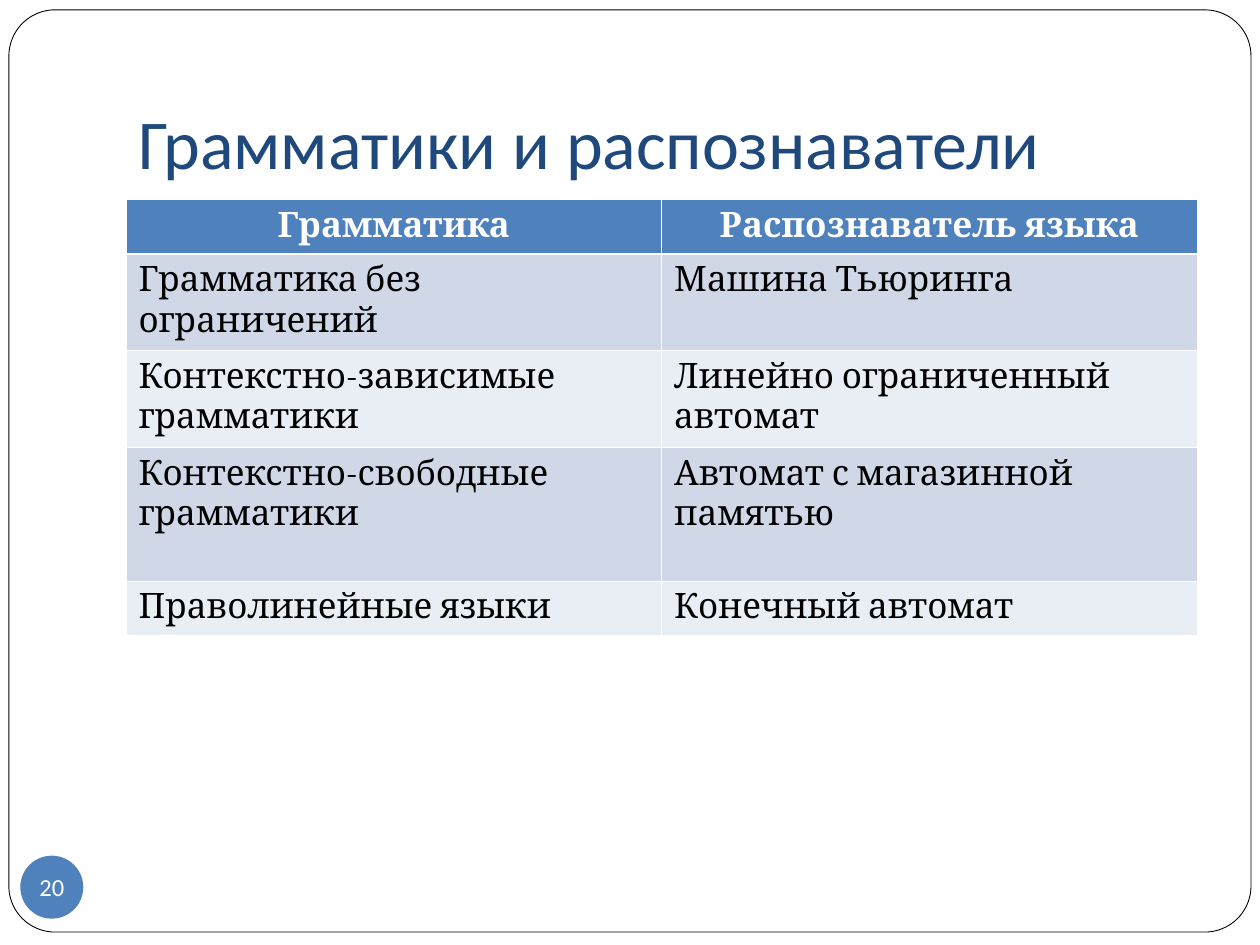
"""Builds a slide that pairs grammar classes with their language recognisers."""
import pptx
import pptx.dml.color
import pptx.enum.shapes
import pptx.enum.text
import pptx.oxml
import pptx.oxml.ns
import pptx.util

Cm = pptx.util.Cm
Pt = pptx.util.Pt
RGBColor = pptx.dml.color.RGBColor
Shape = pptx.enum.shapes.MSO_SHAPE
Align = pptx.enum.text.PP_ALIGN
Anchor = pptx.enum.text.MSO_ANCHOR

WHITE = RGBColor(0xFF, 0xFF, 0xFF)
BLACK = RGBColor(0x00, 0x00, 0x00)
NAVY = RGBColor(0x1F, 0x49, 0x7D)
BLUE = RGBColor(0x4F, 0x81, 0xBD)
BAND_DARK = RGBColor(0xD0, 0xD8, 0xE8)
BAND_LIGHT = RGBColor(0xE9, 0xED, 0xF4)

ROWS = [
    ("Грамматика", "Распознаватель языка"),
    ("Грамматика без ограничений", "Машина Тьюринга"),
    ("Контекстно-зависимые грамматики", "Линейно ограниченный автомат"),
    ("Контекстно-свободные грамматики", "Автомат с магазинной памятью"),
    ("Праволинейные языки", "Конечный автомат"),
]
ROW_HEIGHTS = [1.07, 1.88, 1.88, 2.69, 1.07]


class SlideBuilder:
    heading_font = "Calibri"
    body_font = "Cambria"
    thin_border = 0.45
    thick_border = 1.47

    def __init__(self, slide):
        self.slide = slide

    def set_text(self, text_frame, text, font, size, color, align=Align.LEFT, bold=False):
        text_frame.text = text
        paragraph = text_frame.paragraphs[0]
        paragraph.alignment = align
        run_font = paragraph.runs[0].font
        run_font.name = font
        run_font.size = Pt(size)
        run_font.bold = bold
        run_font.color.rgb = color

    def shape(self, kind, left, top, width, height, fill):
        shape = self.slide.shapes.add_shape(kind, Cm(left), Cm(top), Cm(width), Cm(height))
        shape.shadow.inherit = False
        shape.fill.solid()
        shape.fill.fore_color.rgb = fill
        shape.line.fill.background()
        return shape

    def frame(self, left, top, width, height):
        frame = self.shape(Shape.ROUNDED_RECTANGLE, left, top, width, height, WHITE)
        frame.adjustments[0] = 0.05
        frame.line.color.rgb = BLACK
        frame.line.width = Pt(0.5)

    def title(self, text, left, top, width, height):
        box = self.slide.shapes.add_textbox(Cm(left), Cm(top), Cm(width), Cm(height))
        text_frame = box.text_frame
        text_frame.word_wrap = True
        text_frame.vertical_anchor = Anchor.BOTTOM
        text_frame.margin_bottom = Cm(0.25)
        self.set_text(text_frame, text, self.heading_font, 40, NAVY)

    def page_number(self, text, left, top, size):
        badge = self.shape(Shape.OVAL, left, top, size, size, BLUE)
        text_frame = badge.text_frame
        text_frame.margin_left = text_frame.margin_right = 0
        text_frame.margin_top = text_frame.margin_bottom = 0
        text_frame.word_wrap = False
        text_frame.vertical_anchor = Anchor.MIDDLE
        self.set_text(text_frame, text, self.heading_font, 14, WHITE, Align.CENTER)

    def cell_borders(self, cell, top, bottom):
        properties = cell._tc.get_or_add_tcPr()
        thin = self.thin_border
        for side, width in (("L", thin), ("R", thin), ("T", top), ("B", bottom)):
            properties.append(pptx.oxml.parse_xml(
                f'<a:ln{side} {pptx.oxml.ns.nsdecls("a")} w="{int(Pt(width))}">'
                f'<a:solidFill><a:srgbClr val="{WHITE}"/></a:solidFill></a:ln{side}>'))

    def table(self, rows, left, top, width, heights):
        table = self.slide.shapes.add_table(
            len(rows), len(rows[0]), Cm(left), Cm(top), Cm(width), Cm(sum(heights))).table
        for row_index, texts in enumerate(rows):
            table.rows[row_index].height = Cm(heights[row_index])
            header = row_index == 0
            fill = BLUE if header else BAND_DARK if row_index % 2 else BAND_LIGHT
            for column_index, text in enumerate(texts):
                cell = table.cell(row_index, column_index)
                self.cell_borders(
                    cell,
                    self.thick_border if row_index == 1 else self.thin_border,
                    self.thick_border if header else self.thin_border)
                cell.fill.solid()
                cell.fill.fore_color.rgb = fill
                self.set_text(cell.text_frame, text, self.body_font, 20,
                              WHITE if header else BLACK,
                              Align.CENTER if header else Align.LEFT, header)


def main():
    presentation = pptx.Presentation()
    presentation.slide_width = Cm(25.4)
    presentation.slide_height = Cm(19.05)
    builder = SlideBuilder(presentation.slides.add_slide(presentation.slide_layouts[6]))
    builder.frame(0.18, 0.2, 25.04, 18.59)
    builder.title("Грамматики и распознаватели", 2.54, 0.76, 21.59, 3.18)
    builder.table(ROWS, 2.54, 4.02, 21.59, ROW_HEIGHTS)
    builder.page_number("20", 0.41, 17.25, 1.27)
    presentation.save("out.pptx")


if __name__ == "__main__":
    main()
